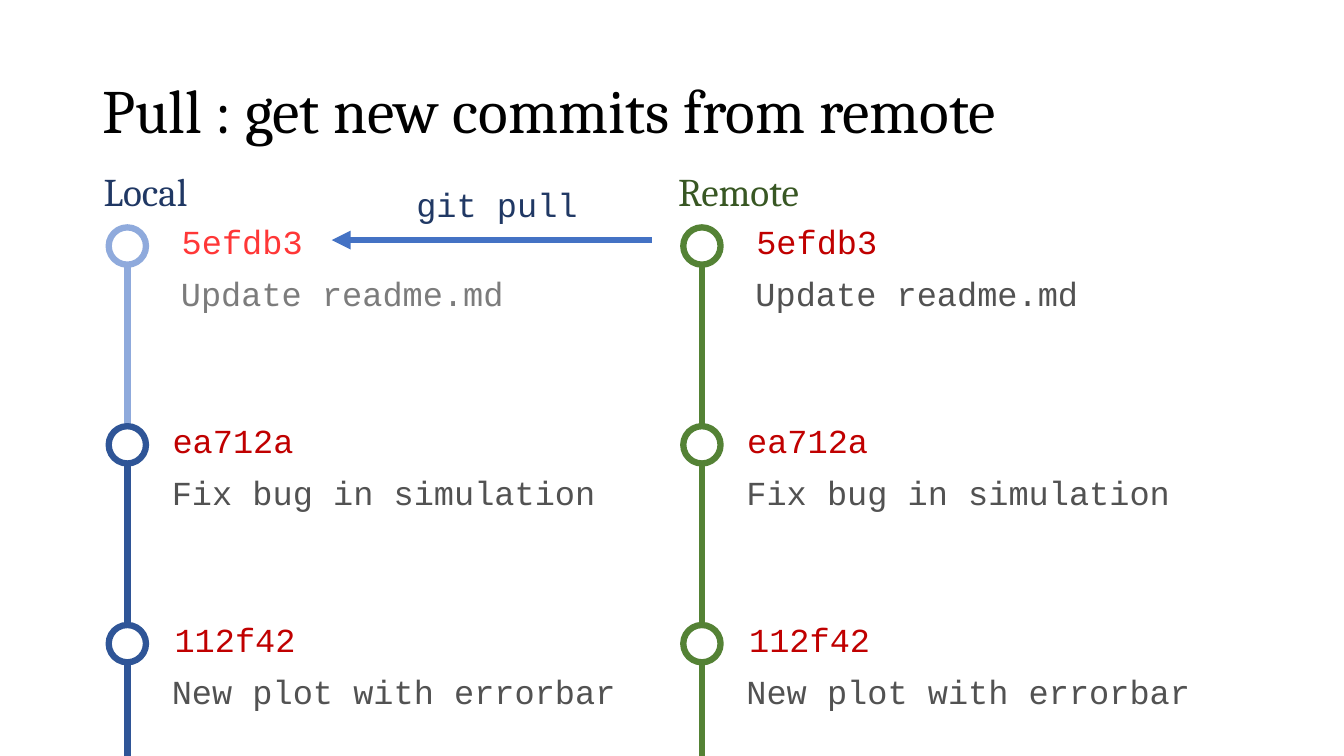
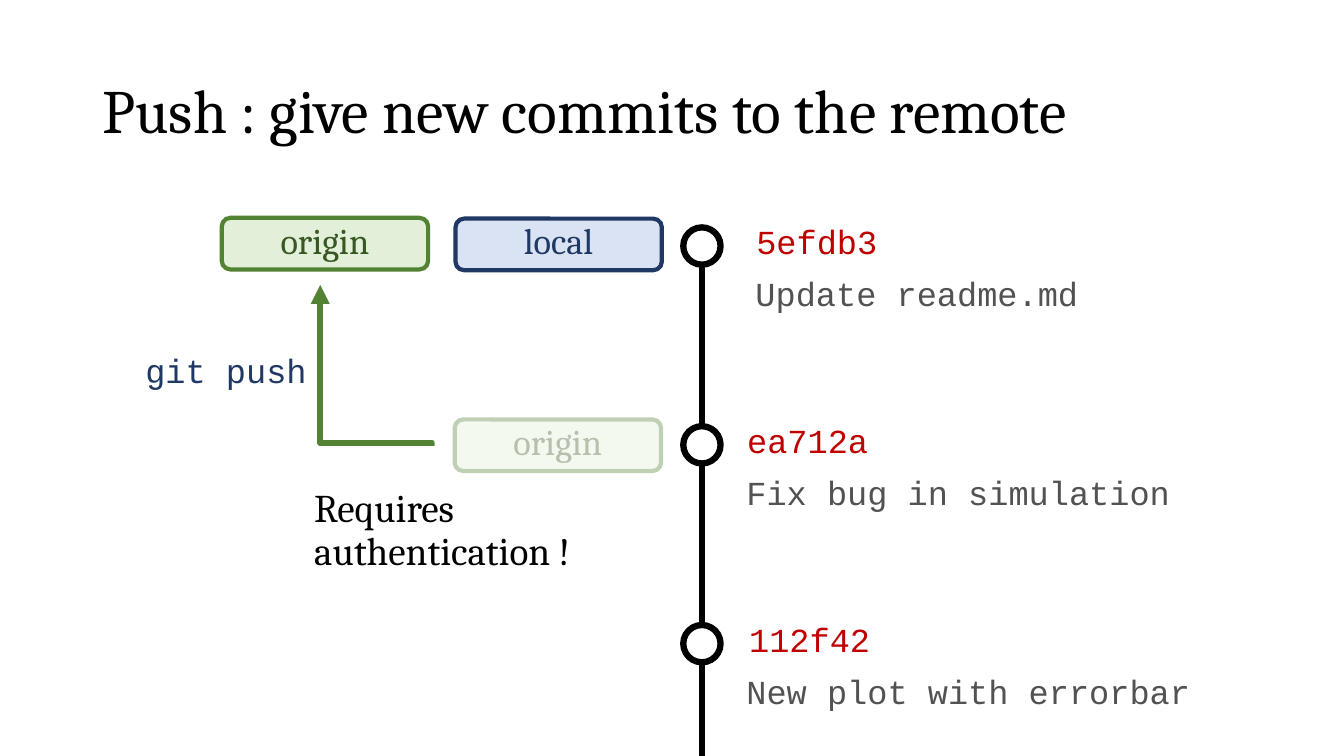
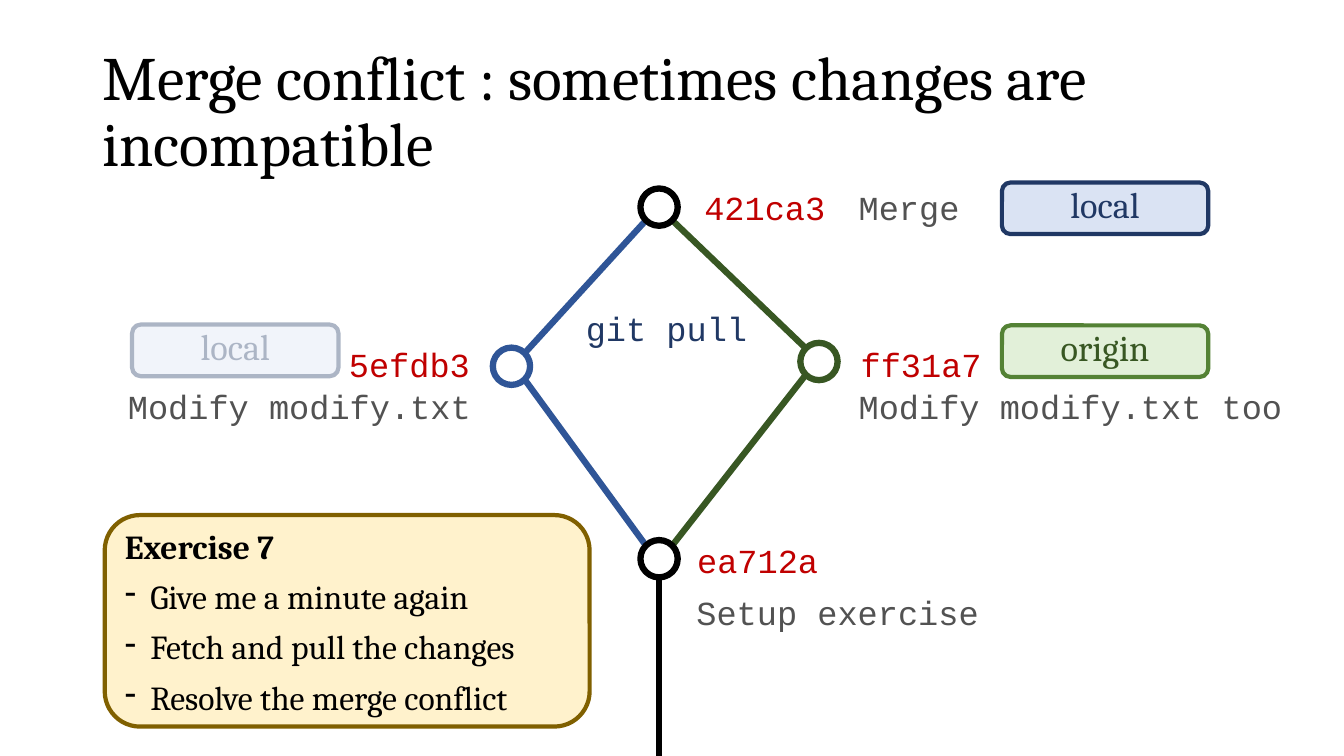
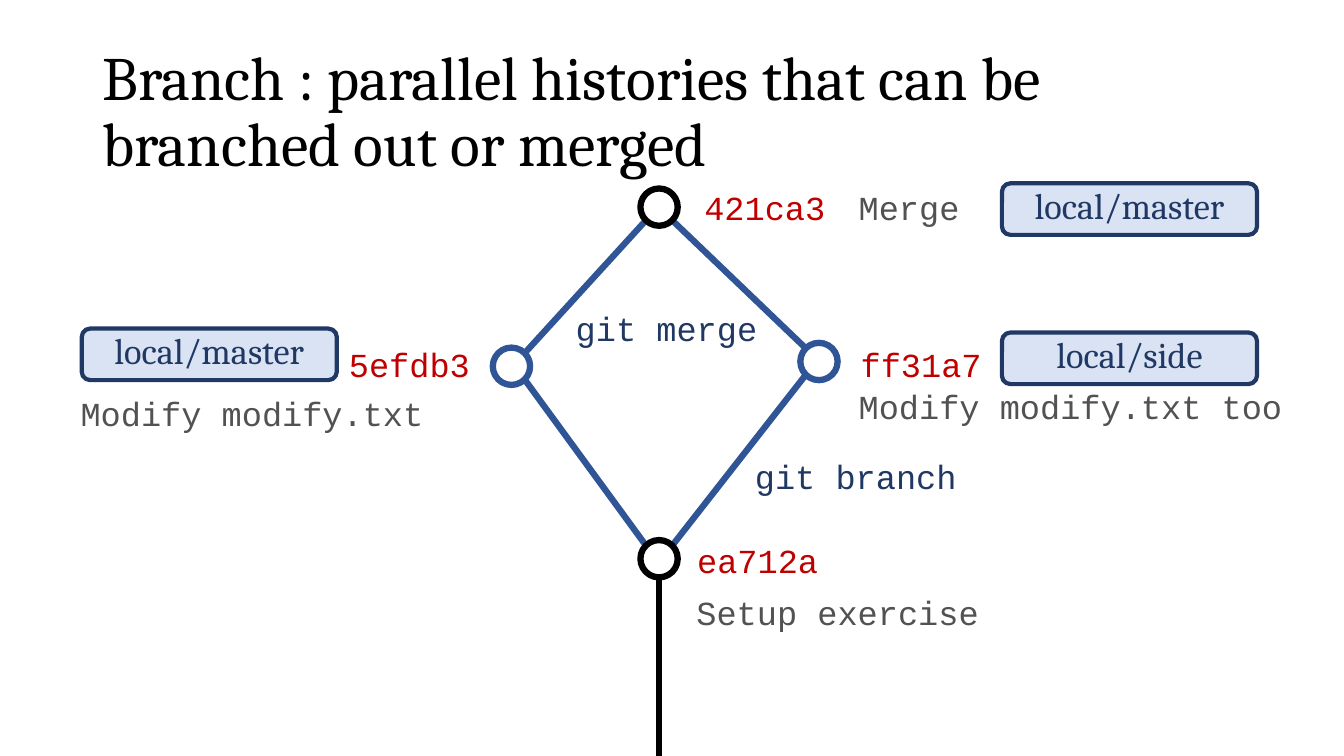
from lxml.etree import SubElement
from pptx import Presentation
from pptx.dml.color import RGBColor
from pptx.enum.shapes import MSO_CONNECTOR, MSO_SHAPE
from pptx.enum.text import MSO_ANCHOR, MSO_AUTO_SIZE, PP_ALIGN
from pptx.oxml.ns import qn
from pptx.util import Cm, Pt

COLORS = {
    "black": "000000", "white": "FFFFFF",
    "hash": "C00000", "hash_new": "FF3737",
    "message": "525252", "message_new": "7C7C7C",
    "navy": "203864", "blue": "2F5597", "blue_new": "8FAADC",
    "blue_arrow": "4472C4", "blue_fill": "DAE3F3",
    "green": "548235", "green_dark": "385723", "green_fill": "E2F0D9",
    "gold": "806000", "gold_fill": "FFF2CC",
}
SERIF, MONO = "Cambria", "Courier New"
SLIDE_WIDTH, SLIDE_HEIGHT = 33.87, 19.05
TITLE_BOX = (2.33, 1.02, 29.21, 3.68)
LINE_WIDTH = 4.5
NODE_RADIUS = 0.47
NODE_DIAGONAL = 0.33
LABEL_HEIGHT = 1.3
LANE_TOP, LANE_STEP = 6.2, 5.01
LOCAL_LANE, REMOTE_LANE = 3.21, 17.69
DIAMOND_BOX = (12.89, 5.22, 7.75, 8.86)
# hash, message, then the distance of each from the lane
COMMITS = [
    ("5efdb3", "Update readme.md", 1.12, 1.35),
    ("ea712a", "Fix bug in simulation", 0.89, 1.12),
    ("112f42", "New plot with errorbar", 0.94, 1.12),
]
CHIP_STYLES = {
    "local": ("blue_fill", "navy", "navy"),
    "origin": ("green_fill", "green", "green_dark"),
}


def rgb(name):
    """Return the named colour."""
    return RGBColor.from_string(COLORS[name])


def lengths(*values):
    """Turn numbers into centimetre lengths."""
    return [Cm(value) for value in values]


def add_run(paragraph, text, size, font, color, bold=False):
    """Add one formatted run."""
    run = paragraph.add_run()
    run.text = text
    run.font.size = Pt(size)
    run.font.name = font
    run.font.bold = bold
    run.font.color.rgb = rgb(color)


def space(paragraph, align=PP_ALIGN.LEFT, line=0.9, before=10):
    """Set alignment and spacing of a paragraph."""
    paragraph.alignment = align
    paragraph.line_spacing = line
    paragraph.space_before = Pt(before)


def add_text(slide, box, text, color, size=24, font=MONO,
             align=PP_ALIGN.LEFT, side=0, edge=0):
    """Place wrapped text in a box with the given side and top insets."""
    frame = slide.shapes.add_textbox(*lengths(*box)).text_frame
    frame.word_wrap = True
    frame.margin_left = frame.margin_right = Cm(side)
    frame.margin_top = frame.margin_bottom = Cm(edge)
    paragraph = frame.paragraphs[0]
    space(paragraph, align)
    add_run(paragraph, text, size, font, color)


def add_hash(slide, left, top, text, color="hash", align=PP_ALIGN.LEFT):
    """Write a commit hash."""
    add_text(slide, (left, top, 3.73, LABEL_HEIGHT), text, color,
             align=align, side=0.25, edge=0.13)


def add_message(slide, left, top, text, color="message", align=PP_ALIGN.LEFT):
    """Write a commit message."""
    add_text(slide, (left, top, 11.86, LABEL_HEIGHT), text, color,
             align=align, edge=0.13)


def add_command(slide, left, top, text):
    """Write a centred git command."""
    add_text(slide, (left, top, 5.59, LABEL_HEIGHT), text, "navy",
             align=PP_ALIGN.CENTER)


def add_box(slide, kind, box, fill=None, line=None, width=3):
    """Add a flat preset shape with optional fill and outline."""
    shape = slide.shapes.add_shape(kind, *lengths(*box))
    shape.shadow.inherit = False
    if fill:
        shape.fill.solid()
        shape.fill.fore_color.rgb = rgb(fill)
    else:
        shape.fill.background()
    if line:
        shape.line.color.rgb = rgb(line)
        shape.line.width = Pt(width)
    else:
        shape.line.fill.background()
    return shape


def add_line(slide, start, end, color, arrow=False, kind=MSO_CONNECTOR.STRAIGHT):
    """Draw a connector, with an arrowhead at its end if asked."""
    connector = slide.shapes.add_connector(kind, *lengths(*start, *end))
    connector.line.color.rgb = rgb(color)
    connector.line.width = Pt(LINE_WIDTH)
    properties = connector._element.spPr
    if arrow:
        SubElement(properties.find(qn("a:ln")), qn("a:tailEnd"), type="triangle")
    SubElement(properties, qn("a:effectLst"))
    return connector


def add_bent_arrow(slide, box, color):
    """Draw an arrow from the lower right, going left and then up."""
    left, top, width, height = box
    center_x, center_y = left + width / 2, top + height / 2
    # The connector is laid flat, then turned a quarter to the left.
    start = (center_x - height / 2, center_y + width / 2)
    end = (center_x + height / 2, center_y - width / 2)
    connector = add_line(slide, start, end, color, True, MSO_CONNECTOR.ELBOW)
    properties = connector._element.spPr
    properties.find(qn("a:xfrm")).set("rot", str(270 * 60000))
    geometry = properties.find(qn("a:prstGeom"))
    guides = geometry.find(qn("a:avLst"))
    if guides is None:
        guides = SubElement(geometry, qn("a:avLst"))
    SubElement(guides, qn("a:gd"), name="adj1", fmla="val 2000")


def add_node(slide, center, color):
    """Draw a commit ring around its centre."""
    x, y = center
    box = (x - NODE_RADIUS, y - NODE_RADIUS, 2 * NODE_RADIUS, 2 * NODE_RADIUS)
    add_box(slide, MSO_SHAPE.OVAL, box, line=color, width=LINE_WIDTH)


def add_chip(slide, left, top, text, style="local", width=5.2):
    """Draw a rounded branch label."""
    fill, line, color = CHIP_STYLES[style]
    box = (left, top, width, LABEL_HEIGHT)
    shape = add_box(slide, MSO_SHAPE.ROUNDED_RECTANGLE, box, fill, line)
    frame = shape.text_frame
    frame.vertical_anchor = MSO_ANCHOR.MIDDLE
    paragraph = frame.paragraphs[0]
    space(paragraph, PP_ALIGN.CENTER, line=0.8)
    add_run(paragraph, text, 25.9, SERIF, color)


def add_veil(slide, left, top):
    """Fade what lies beneath with translucent white."""
    veil = add_box(slide, MSO_SHAPE.RECTANGLE, (left, top, 6.02, 3.25), "white")
    color = veil._element.spPr.find(qn("a:solidFill")).find(qn("a:srgbClr"))
    SubElement(color, qn("a:alpha"), val="63000")


def add_lane(slide, x, color, newest=None):
    """Draw a vertical history; newest holds ring, hash and message colours."""
    for row, (name, message, name_gap, message_gap) in enumerate(COMMITS):
        ring, name_color, message_color = color, "hash", "message"
        if newest and row == 0:
            ring, name_color, message_color = newest
        y = LANE_TOP + row * LANE_STEP
        last = row == len(COMMITS) - 1
        bottom = SLIDE_HEIGHT if last else y + LANE_STEP - NODE_RADIUS
        add_node(slide, (x, y), ring)
        add_line(slide, (x, y + NODE_RADIUS), (x, bottom), ring)
        add_hash(slide, x + name_gap, y - 0.65, name, name_color)
        add_message(slide, x + message_gap, y + 0.67, message, message_color)


def add_diamond(slide, box, right_line, right_ring):
    """Draw two histories that part and merge, with the shared labels."""
    left, top, width, height = box
    middle = left + 0.48 * width
    merge, base = (middle, top), (middle, top + height)
    local, other = (left, top + 4.01), (left + width, top + 3.89)
    gap = NODE_DIAGONAL
    for side, (x, y), line in ((-1, local, "blue"), (1, other, right_line)):
        add_line(slide, (middle + side * gap, top + gap),
                 (x - side * gap, y - gap), line)
        add_line(slide, (x - side * gap, y + gap),
                 (middle + side * gap, base[1] - gap), line)
    add_line(slide, (middle, base[1] + NODE_RADIUS), (middle, SLIDE_HEIGHT), "black")
    for center, color in ((merge, "black"), (local, "blue"),
                          (other, right_ring), (base, "black")):
        add_node(slide, center, color)
    add_hash(slide, middle + 0.89, top - 0.52, "421ca3")
    add_message(slide, left + width + 1, top - 0.52, "Merge")
    add_hash(slide, left - 4.53, top + 3.42, "5efdb3", align=PP_ALIGN.RIGHT)
    add_hash(slide, left + width + 0.8, top + 3.42, "ff31a7")
    add_message(slide, left + width + 1, top + 4.48, "Modify modify.txt too")
    add_hash(slide, middle + 0.71, base[1] - 0.49, "ea712a")
    add_message(slide, middle + 0.94, base[1] + 0.83, "Setup exercise")


def add_exercise(slide, box, heading, tasks):
    """Draw the exercise panel with a heading and dashed tasks."""
    shape = add_box(slide, MSO_SHAPE.ROUNDED_RECTANGLE, box, "gold_fill", "gold")
    frame = shape.text_frame
    frame.vertical_anchor = MSO_ANCHOR.TOP
    paragraph = frame.paragraphs[0]
    space(paragraph)
    add_run(paragraph, heading, 24, SERIF, "black", bold=True)
    for task in tasks:
        paragraph = frame.add_paragraph()
        space(paragraph)
        properties = paragraph._p.get_or_add_pPr()
        properties.set("marL", str(Cm(0.64)))
        properties.set("indent", str(-Cm(0.64)))
        SubElement(properties, qn("a:buChar"), char="-")
        add_run(paragraph, task, 24, SERIF, "black")


def add_slide(presentation, title):
    """Add a slide with the shared title style."""
    slide = presentation.slides.add_slide(presentation.slide_layouts[5])
    shape = slide.shapes.title
    shape.left, shape.top, shape.width, shape.height = lengths(*TITLE_BOX)
    frame = shape.text_frame
    frame.word_wrap = True
    frame.auto_size = MSO_AUTO_SIZE.NONE
    frame.vertical_anchor = MSO_ANCHOR.MIDDLE
    paragraph = frame.paragraphs[0]
    space(paragraph, before=0)
    add_run(paragraph, title, 44, SERIF, "black")
    return slide


def build_pull(presentation):
    """Show commits travelling from remote to local."""
    slide = add_slide(presentation, "Pull : get new commits from remote")
    add_lane(slide, LOCAL_LANE, "blue", ("blue_new", "hash_new", "message_new"))
    add_lane(slide, REMOTE_LANE, "green")
    for lane, name, color in ((LOCAL_LANE, "Local", "navy"),
                              (REMOTE_LANE, "Remote", "green_dark")):
        add_text(slide, (lane - 0.6, 4.34, 5.72, 1.4), name, color, 28, SERIF)
    add_line(slide, (16.43, 6.05), (8.36, 6.05), "blue_arrow", arrow=True)
    add_command(slide, 9.73, 4.75, "git pull")


def build_push(presentation):
    """Show the origin label moving up to local."""
    slide = add_slide(presentation, "Push : give new commits to the remote")
    add_lane(slide, REMOTE_LANE, "black")
    add_chip(slide, 11.46, 10.57, "origin", "origin")
    add_chip(slide, 11.48, 5.51, "local")
    add_command(slide, 2.9, 8.94, "git push")
    add_bent_arrow(slide, (8.07, 7.18, 2.82, 4.06), "green")
    add_veil(slide, 10.95, 9.52)
    add_chip(slide, 5.59, 5.49, "origin", "origin")
    add_text(slide, (7.92, 12.32, 7.09, 2.57), "Requires authentication !",
             "black", 28, SERIF)


def build_conflict(presentation):
    """Show a merge of local and origin, with the exercise."""
    slide = add_slide(presentation,
                      "Merge conflict : sometimes changes are incompatible")
    add_diamond(slide, DIAMOND_BOX, "green_dark", "green_dark")
    add_message(slide, 0, 9.7, "Modify modify.txt", align=PP_ALIGN.RIGHT)
    add_command(slide, 14, 7.87, "git pull")
    add_chip(slide, 3.33, 8.18, "local")
    add_veil(slide, 2.64, 6.32)
    add_chip(slide, 25.25, 8.2, "origin", "origin")
    add_chip(slide, 25.25, 4.6, "local")
    add_exercise(slide, (2.64, 12.98, 12.22, 5.33), "Exercise 7", [
        "Give me a minute again",
        "Fetch and pull the changes",
        "Resolve the merge conflict",
    ])


def build_branch(presentation):
    """Show two local branches that part and merge."""
    slide = add_slide(presentation, "Branch : parallel histories that can be "
                                    "branched out or merged")
    add_diamond(slide, DIAMOND_BOX, "blue", "blue")
    add_message(slide, 2.03, 9.88, "Modify modify.txt")
    add_command(slide, 14, 7.87, "git merge")
    add_command(slide, 18.77, 11.61, "git branch")
    for left, top, name in ((2.06, 8.28, "local/master"),
                            (25.25, 8.38, "local/side"),
                            (25.25, 4.62, "local/master")):
        add_chip(slide, left, top, name, width=6.43)


def main():
    """Build and save the presentation."""
    presentation = Presentation()
    presentation.slide_width = Cm(SLIDE_WIDTH)
    presentation.slide_height = Cm(SLIDE_HEIGHT)
    for build in (build_pull, build_push, build_conflict, build_branch):
        build(presentation)
    presentation.save("out.pptx")


main()
